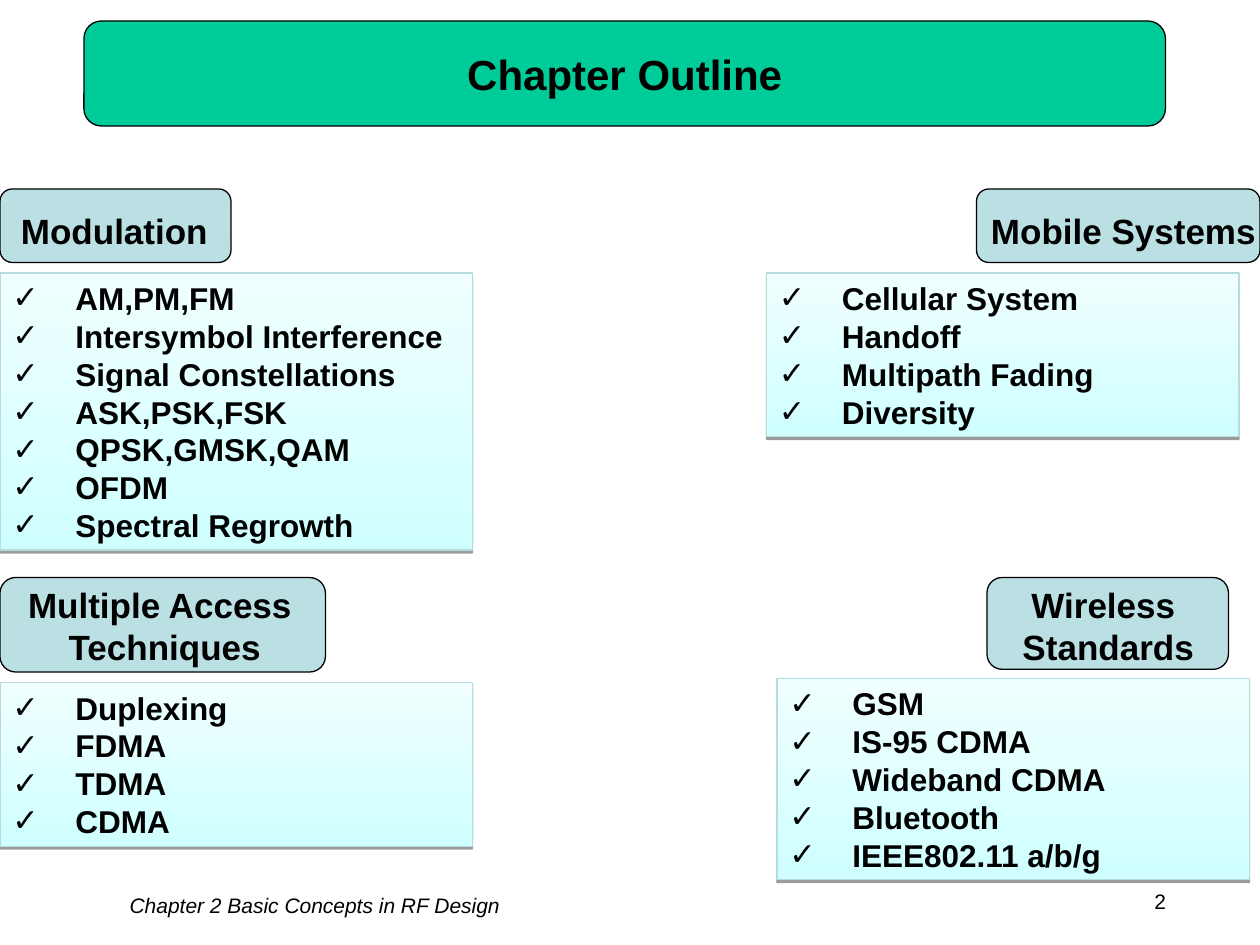
from lxml import etree
from pptx import Presentation, util as u
from pptx.dml.color import RGBColor
from pptx.enum import shapes, text
from pptx.oxml import ns

GREEN = RGBColor(0x00, 0xCC, 0x99)
TEAL = RGBColor(0xBB, 0xE0, 0xE3)
EDGE = RGBColor(0xB6, 0xDC, 0xDF)
AQUA = RGBColor(0xCF, 0xFF, 0xFF)
PALE = RGBColor(0xF0, 0xFF, 0xFF)
BLACK = RGBColor(0x00, 0x00, 0x00)
WHITE = RGBColor(0xFF, 0xFF, 0xFF)

deck = Presentation()
deck.slide_width, deck.slide_height = u.Inches(10), u.Inches(7.5)
slide = deck.slides.add_slide(deck.slide_layouts[6])
slide.background.fill.solid()
slide.background.fill.fore_color.rgb = WHITE

# The slide is a grid of 120 columns by 90 rows of square cells.
CELL = deck.slide_width / 120
ROUNDED = shapes.MSO_SHAPE.ROUNDED_RECTANGLE


def write(frame, lines, size, bold=True, italic=False, align=text.PP_ALIGN.CENTER,
          anchor=text.MSO_ANCHOR.TOP, wrap=True, bullet=None):
    frame.word_wrap, frame.vertical_anchor = wrap, anchor
    if not wrap:
        frame.auto_size = text.MSO_AUTO_SIZE.SHAPE_TO_FIT_TEXT
        frame.margin_left = frame.margin_right = 0
    for index, line in enumerate(lines):
        paragraph = frame.paragraphs[0] if index == 0 else frame.add_paragraph()
        paragraph.alignment = align
        if bullet:
            props = paragraph._p.get_or_add_pPr()
            props.set("marL", str(u.Inches(0.5)))
            props.set("indent", str(u.Inches(-0.5)))
            etree.SubElement(props, ns.qn("a:buFont")).set("typeface", "Arial")
            etree.SubElement(props, ns.qn("a:buChar")).set("char", bullet)
        run = paragraph.add_run()
        run.text = line
        font = run.font
        font.name, font.size, font.bold, font.italic = "Arial", u.Pt(size), bold, italic
        font.color.rgb = BLACK


def add_panel(parent, kind, cells, fill, edge):
    """Add an outlined shape; a pair of fill colours runs from bottom to top."""
    panel = parent.add_shape(kind, *[round(c * CELL) for c in cells])
    panel.shadow.inherit = False
    panel.line.color.rgb, panel.line.width = edge, u.Pt(0.75)
    if isinstance(fill, RGBColor):
        panel.fill.solid()
        panel.fill.fore_color.rgb = fill
    else:
        panel.fill.gradient()
        panel.fill.gradient_angle = 90
        for stop, color in zip(panel.fill.gradient_stops, fill):
            stop.color.rgb = color
    return panel


banner = add_panel(slide.shapes, ROUNDED, (8, 2, 103, 10), GREEN, BLACK)
write(banner.text_frame, ["Chapter Outline"], 24, anchor=text.MSO_ANCHOR.MIDDLE)

footers = [
    ("Chapter 2 Basic Concepts in RF Design", (1, 84.4, 58, 3.6), True),
    ("2", (101, 84, 19, 3.6), False),
]
for words, cells, italic in footers:
    footer = slide.shapes.add_textbox(*[round(c * CELL) for c in cells])
    write(footer.text_frame, [words], 12, bold=False, italic=italic)

# Each topic: heading lines, heading plate, heading text, list corner, list items
topics = [
    (["Modulation"], (0, 18, 22, 7), (0.8, 19.4, 20.2, 5.3), (0, 26),
     ["AM,PM,FM", "Intersymbol Interference", "Signal Constellations", "ASK,PSK,FSK",
      "QPSK,GMSK,QAM", "OFDM", "Spectral Regrowth"]),
    (["Mobile Systems"], (93, 18, 27, 7), (93.2, 19.4, 27.6, 5.3), (73, 26),
     ["Cellular System", "Handoff", "Multipath Fading", "Diversity"]),
    (["Multiple Access ", "Techniques"], (0, 55, 31, 9), (1.4, 55, 28.6, 9.2), (0, 65),
     ["Duplexing", "FDMA", "TDMA", "CDMA"]),
    (["Wireless ", "Standards"], (94, 55, 23, 8.75), (96.2, 55, 18.7, 9.2), (74, 64.6),
     ["GSM", "IS-95 CDMA", "Wideband CDMA", "Bluetooth", "IEEE802.11 a/b/g"]),
]
LIST_WIDTH, ITEM_ROWS, PADDING_ROWS = 45, 3.6, 1.2

for heading, plate_cells, heading_cells, corner, items in topics:
    group = slide.shapes.add_group_shape()
    add_panel(group.shapes, ROUNDED, plate_cells, TEAL, BLACK)
    label = group.shapes.add_textbox(*[round(c * CELL) for c in heading_cells])
    write(label.text_frame, heading, 20, wrap=False)

    height = PADDING_ROWS + ITEM_ROWS * len(items)
    checklist = add_panel(slide.shapes, shapes.MSO_SHAPE.RECTANGLE,
                          (*corner, LIST_WIDTH, height), (AQUA, PALE), EDGE)
    write(checklist.text_frame, items, 18, align=text.PP_ALIGN.LEFT, bullet="✓")
    effects = checklist._element.spPr.find(ns.qn("a:effectLst"))
    shadow = etree.SubElement(effects, ns.qn("a:outerShdw"), blurRad="0",
                              dist=str(u.Pt(1.6)), dir="5400000", rotWithShape="0")
    shade = etree.SubElement(shadow, ns.qn("a:srgbClr"), val=str(BLACK))
    etree.SubElement(shade, ns.qn("a:alpha"), val="38000")

deck.save("out.pptx")
